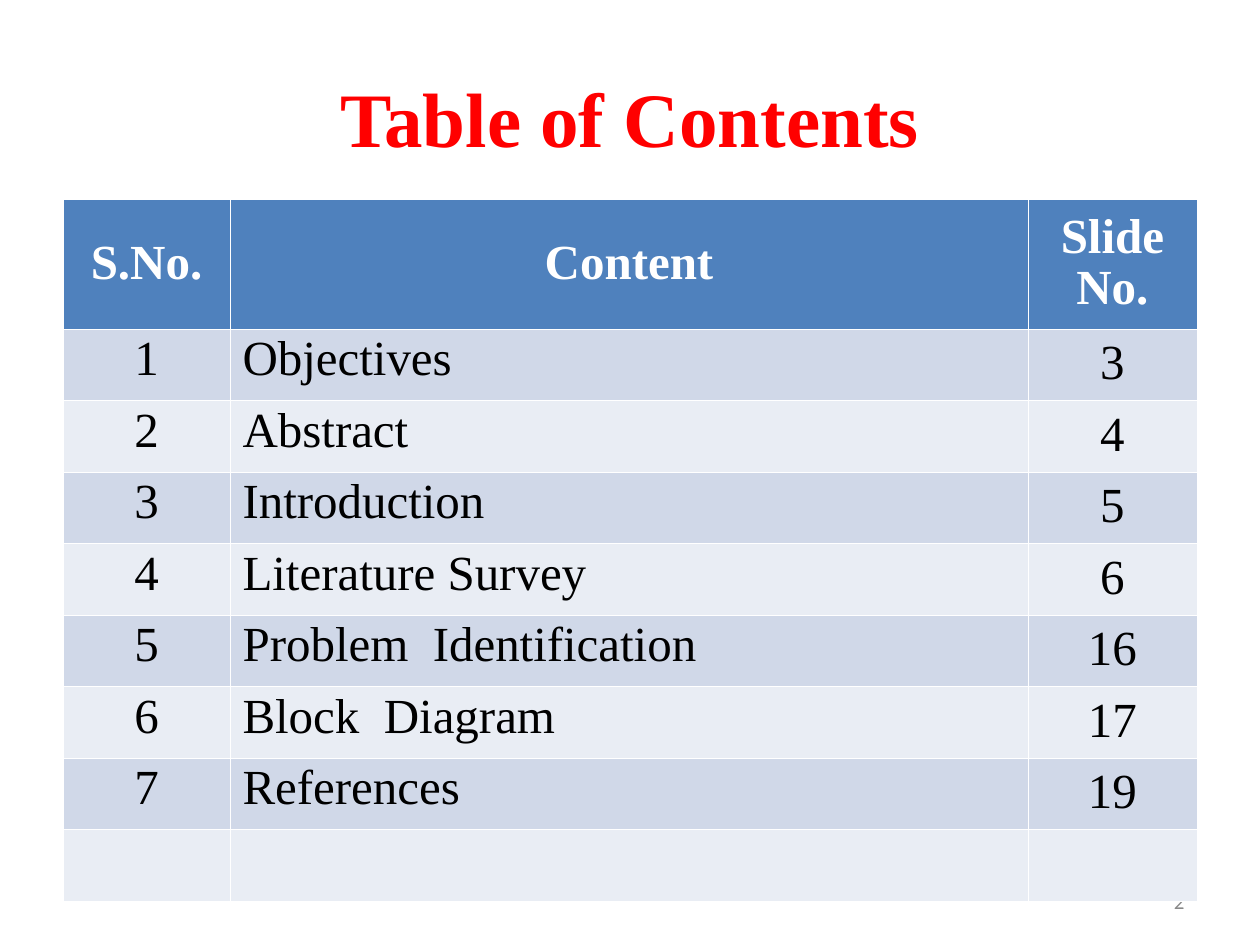
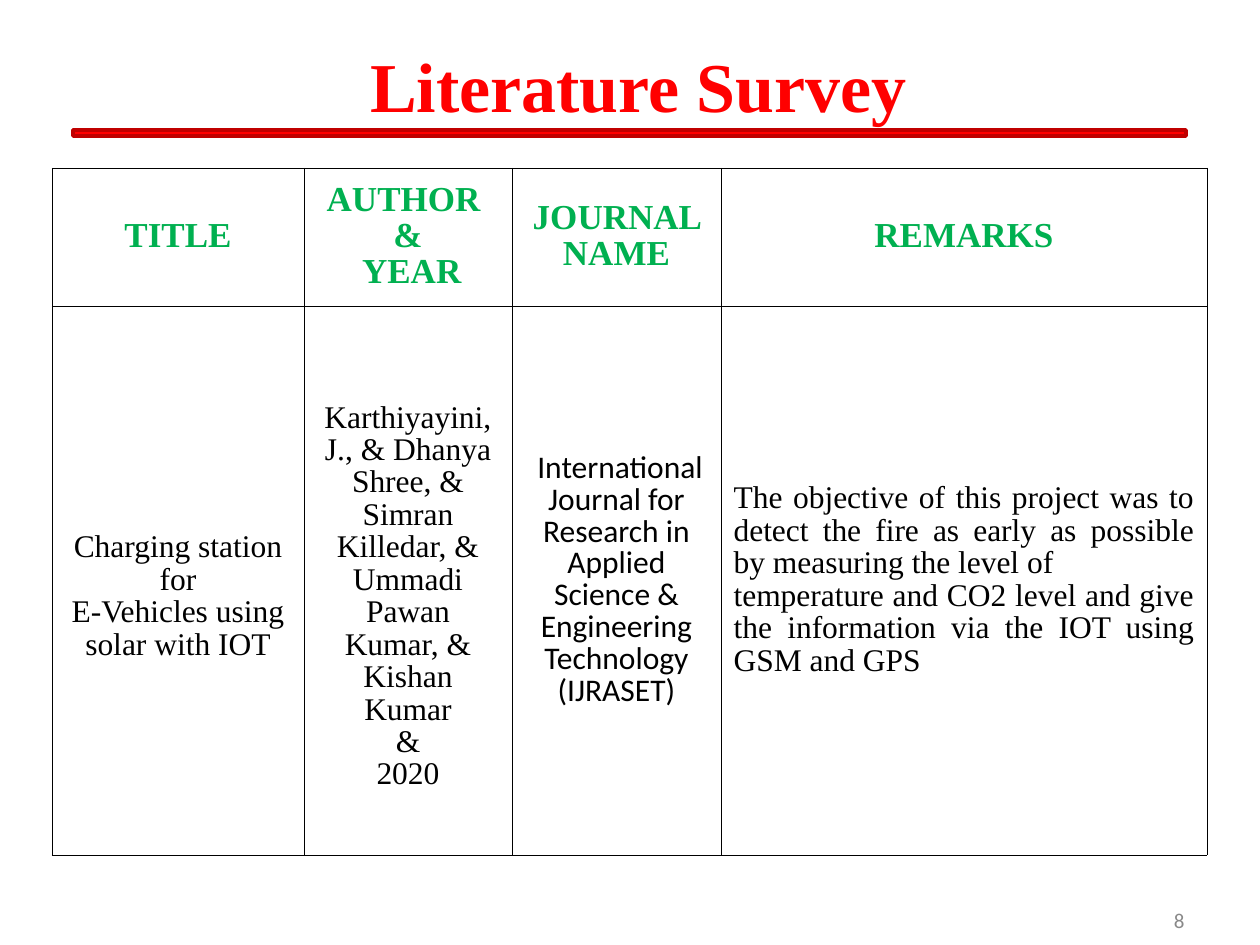
import pptx
import pptx.dml.color
import pptx.enum.shapes
import pptx.enum.text
import pptx.oxml.ns
import pptx.util
from lxml import etree

EMU_PER_PX = 914400 / 126
COLORS = {
    "title": "FF0000", "rule edge": "C00000", "number": "898989",
    "header": "4F81BD", "band dark": "D0D8E8", "band light": "E9EDF4",
    "survey head": "00B050", "white": "FFFFFF", "black": "000000",
}
RGB = {name: pptx.dml.color.RGBColor.from_string(value) for name, value in COLORS.items()}
SERIF, SANS = "Times New Roman", "Calibri"
ALIGN = pptx.enum.text.PP_ALIGN
MIDDLE = pptx.enum.text.MSO_ANCHOR.MIDDLE
TOP = pptx.enum.text.MSO_ANCHOR.TOP


def write(frame, text, size, color, align=ALIGN.CENTER, font=SERIF, bold=False, spacing=1.0):
    frame.text = text
    frame.word_wrap = True
    for paragraph in frame.paragraphs:
        paragraph.alignment = align
        paragraph.line_spacing = spacing
        for run in paragraph.runs:
            run.font.size = pptx.util.Pt(size)
            run.font.name = font
            run.font.bold = bold
            run.font.color.rgb = RGB[color]


def add_grid(slide, box, widths, heights, border):
    """Add a table with thin borders and no fill."""
    table = slide.shapes.add_table(
        len(heights), len(widths), *[round(v * EMU_PER_PX) for v in box]).table
    table.horz_banding = False
    for column, width in zip(table.columns, widths):
        column.width = round(width * EMU_PER_PX)
    for row, height in zip(table.rows, heights):
        row.height = round(height * EMU_PER_PX)
    for cell in table.iter_cells():
        cell.fill.background()
        properties = cell._tc.get_or_add_tcPr()
        for place, side in enumerate(("lnL", "lnR", "lnT", "lnB")):
            line = etree.Element(pptx.oxml.ns.qn(f"a:{side}"), w=str(pptx.util.Pt(0.23)))
            solid = etree.SubElement(line, pptx.oxml.ns.qn("a:solidFill"))
            etree.SubElement(solid, pptx.oxml.ns.qn("a:srgbClr"), val=COLORS[border])
            properties.insert(place, line)
    return table


prs = pptx.Presentation()
prs.slide_width = round(1260 * EMU_PER_PX)
prs.slide_height = round(945 * EMU_PER_PX)

# Titles and slide numbers
headings = [
    ("Table of Contents", 44, (63, 38, 1134, 157), "2", 876),
    (" Literature Survey", 40, (63, 0, 1134, 168), "8", 895),
]
for title, title_size, title_box, number, number_top in headings:
    slide = prs.slides.add_slide(prs.slide_layouts[6])
    for text, size, color, box, align, font in [
        (title, title_size, "title", title_box, ALIGN.CENTER, SERIF),
        (number, 12, "number", (903, number_top, 294, 50), ALIGN.RIGHT, SANS),
    ]:
        frame = slide.shapes.add_textbox(*[round(v * EMU_PER_PX) for v in box]).text_frame
        frame.vertical_anchor = MIDDLE
        write(frame, text, size, color, align, font, bold=color == "title")
contents_slide, survey_slide = prs.slides

# Contents table: the last row stays empty
topics = [
    ("Objectives", 3), ("Abstract", 4), ("Introduction", 5), ("Literature Survey", 6),
    ("Problem  Identification", 16), ("Block  Diagram", 17), ("References", 19),
]
contents_rows = [("S.No.", "Content", "Slide No.")]
contents_rows += [(str(i), topic, str(page)) for i, (topic, page) in enumerate(topics, 1)]
contents_rows.append(("", "", ""))
header_height, contents_height = 130, 702
topic_height = (contents_height - header_height) / (len(contents_rows) - 1)
contents = add_grid(
    contents_slide, (63, 199, 1134, contents_height), (167, 798, 169),
    [header_height] + [topic_height] * (len(contents_rows) - 1), "white")
for r, texts in enumerate(contents_rows):
    is_header = r == 0
    band = "header" if is_header else "band dark" if r % 2 else "band light"
    for c, text in enumerate(texts):
        cell = contents.cell(r, c)
        cell.fill.solid()
        cell.fill.fore_color.rgb = RGB[band]
        cell.vertical_anchor = MIDDLE if is_header or c == 2 else TOP
        write(cell.text_frame, text, 28, "white" if is_header else "black",
              ALIGN.LEFT if c == 1 and not is_header else ALIGN.CENTER,
              bold=is_header, spacing=0.93)

# Red rule under the survey title
rule = survey_slide.shapes.add_shape(
    pptx.enum.shapes.MSO_SHAPE.RECTANGLE,
    *[round(v * EMU_PER_PX) for v in (73, 130, 1113, 6)])
rule.shadow.inherit = False
rule.fill.solid()
rule.fill.fore_color.rgb = RGB["title"]
rule.line.color.rgb = RGB["rule edge"]
rule.line.width = pptx.util.Pt(2)

# Survey table: heading, entry, alignment, font, line spacing, top margin
survey_columns = [
    ("TITLE", "Charging station for\nE-Vehicles using solar with IOT",
     ALIGN.CENTER, SERIF, 0.93, 39),
    ("AUTHOR \n&\n YEAR",
     "Karthiyayini, J., & Dhanya Shree, & Simran Killedar, & Ummadi\n"
     "Pawan Kumar, & Kishan Kumar\n&\n2020",
     ALIGN.CENTER, SERIF, 0.93, 39),
    ("JOURNAL NAME",
     " International Journal for Research in\n"
     "Applied Science & Engineering Technology (IJRASET)",
     ALIGN.CENTER, SANS, 0.83, 6),
    ("REMARKS",
     "The objective of this project was to detect the fire as early as possible "
     "by measuring the level of\n"
     "temperature and CO2 level and give the information via the IOT using GSM and GPS",
     ALIGN.JUSTIFY, SERIF, 0.93, 6),
]
survey = add_grid(survey_slide, (52, 168, 1155, 687), (252, 208, 209, 486), (138, 549), "black")
for c, (heading, entry, align, font, spacing, top_margin) in enumerate(survey_columns):
    head_cell, entry_cell = survey.cell(0, c), survey.cell(1, c)
    head_cell.vertical_anchor = entry_cell.vertical_anchor = MIDDLE
    entry_cell.margin_top = round(top_margin * EMU_PER_PX)
    write(head_cell.text_frame, heading, 20, "survey head", bold=True, spacing=0.93)
    write(entry_cell.text_frame, entry, 18, "black", align, font, spacing=spacing)

prs.save("out.pptx")
